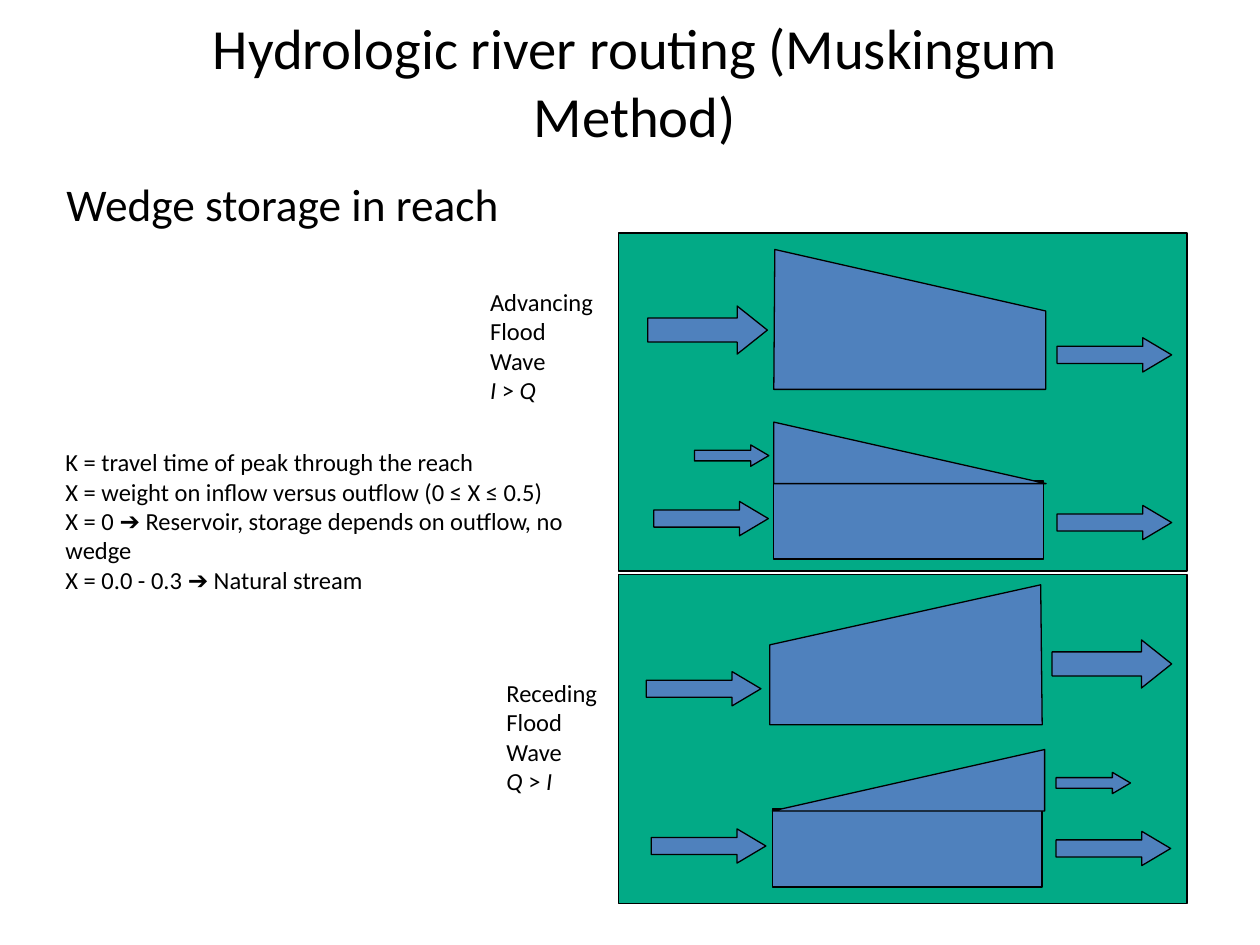
import pptx
import pptx.dml.color
import pptx.enum.shapes
import pptx.enum.text
import pptx.util
from dataclasses import dataclass

Cm = pptx.util.Cm
Pt = pptx.util.Pt
RGB = pptx.dml.color.RGBColor
Preset = pptx.enum.shapes.MSO_SHAPE
Align = pptx.enum.text.PP_ALIGN
Anchor = pptx.enum.text.MSO_ANCHOR


@dataclass(frozen=True)
class Theme:
    font: str = "Calibri"
    ink: RGB = RGB(0x00, 0x00, 0x00)
    land: RGB = RGB(0x02, 0xAA, 0x86)
    water: RGB = RGB(0x4F, 0x81, 0xBD)
    outline: float = 0.75
    title: float = 32.4
    heading: float = 25.9
    body: float = 14


ARROWS = {
    "large": (2.41, 0.97, 0.627),
    "medium": (2.31, 0.69, 0.842),
    "small": (1.5, 0.43, 0.848),
}

ADVANCING = {
    "panel": (12.47, 4.7, 11.46, 6.81),
    "profile": [(15.62, 5.03), (15.6, 7.85), (21.08, 7.85), (21.08, 6.27)],
    "prism": (15.6, 9.7, 5.44, 1.57),
    "wedge": (15.6, 8.51, 5.49, 1.24),
    "falling": True,
    "flows": [("large", 13.06, 6.17), ("medium", 21.31, 6.81),
              ("medium", 21.31, 10.19), ("small", 14, 8.97),
              ("medium", 13.18, 10.11)],
    "label": (9.63, 5.66, 2.77, 2.62),
    "wave": "Advancing",
    "relation": ("I", "Q"),
}

RECEDING = {
    "panel": (12.47, 11.58, 11.46, 6.63),
    "profile": [(20.98, 11.79), (21.01, 14.61), (15.52, 14.61), (15.52, 13)],
    "prism": (15.57, 16.31, 5.44, 1.57),
    "wedge": (15.57, 15.11, 5.49, 1.24),
    "falling": False,
    "flows": [("medium", 21.29, 16.76), ("small", 21.29, 15.57),
              ("medium", 13.13, 16.71), ("large", 21.21, 12.9),
              ("medium", 13.03, 13.54)],
    "label": (9.96, 13.54, 2.51, 2.62),
    "wave": "Receding",
    "relation": ("Q", "I"),
}


class RoutingSlide:
    def __init__(self, slide, theme):
        self.slide = slide
        self.theme = theme

    def paint(self, shape, color):
        shape.shadow.inherit = False
        shape.fill.solid()
        shape.fill.fore_color.rgb = color
        shape.line.color.rgb = self.theme.ink
        shape.line.width = Pt(self.theme.outline)
        return shape

    def preset(self, group, kind, box, color):
        shape = group.shapes.add_shape(kind, *map(Cm, box))
        return self.paint(shape, color)

    def arrow(self, group, size, left, top):
        width, height, head = ARROWS[size]
        flow = self.preset(group, Preset.RIGHT_ARROW,
                           (left, top, width, height), self.theme.water)
        flow.adjustments[0] = 0.5
        flow.adjustments[1] = head

    def wedge(self, group, box, falling):
        wedge = self.preset(group, Preset.RIGHT_TRIANGLE, box, self.theme.water)
        if not falling:
            wedge.element.spPr.get_or_add_xfrm().set("flipH", "1")

    def polygon(self, group, points):
        start, *rest = [(Cm(x), Cm(y)) for x, y in points]
        outline = group.shapes.build_freeform(*start)
        outline.add_line_segments(rest, close=True)
        self.paint(outline.convert_to_shape(), self.theme.water)

    def text(self, parent, box, lines, size, align=Align.LEFT, anchor=Anchor.TOP):
        frame = parent.shapes.add_textbox(*map(Cm, box)).text_frame
        frame.word_wrap = True
        frame.vertical_anchor = anchor
        for index, line in enumerate(lines):
            paragraph = frame.paragraphs[0] if index == 0 else frame.add_paragraph()
            paragraph.text = line
            paragraph.alignment = align
            paragraph.font.name = self.theme.font
            paragraph.font.size = Pt(size)
            paragraph.font.color.rgb = self.theme.ink
        return frame

    def wave_label(self, group, box, wave, relation):
        frame = self.text(group, box, [wave, "Flood", "Wave", ""], self.theme.body)
        larger, smaller = relation
        for words, italic in ((larger, True), (" > ", False), (smaller, True)):
            run = frame.paragraphs[-1].add_run()
            run.text = words
            run.font.italic = italic

    def flood_wave(self, stage):
        group = self.slide.shapes.add_group_shape()
        self.preset(group, Preset.RECTANGLE, stage["panel"], self.theme.land)
        self.polygon(group, stage["profile"])
        self.preset(group, Preset.RECTANGLE, stage["prism"], self.theme.water)
        self.wedge(group, stage["wedge"], stage["falling"])
        for flow in stage["flows"]:
            self.arrow(group, *flow)
        self.wave_label(group, stage["label"], stage["wave"], stage["relation"])


def main():
    deck = pptx.Presentation()
    deck.slide_width = Cm(25.4)
    deck.slide_height = Cm(19.05)
    theme = Theme()
    routing = RoutingSlide(deck.slides.add_slide(deck.slide_layouts[6]), theme)
    routing.text(routing.slide, (2.54, 0.64, 20.52, 1.98),
                 ["Hydrologic river routing (Muskingum Method)"],
                 theme.title, Align.CENTER, Anchor.MIDDLE)
    routing.text(routing.slide, (1.09, 3.42, 9.7, 1.47),
                 ["Wedge storage in reach"], theme.heading)
    for stage in (ADVANCING, RECEDING):
        routing.flood_wave(stage)
    routing.text(routing.slide, (1.07, 8.89, 11.23, 3.2), [
        "K = travel time of peak through the reach",
        "X = weight on inflow versus outflow (0 ≤ X ≤ 0.5)",
        "X = 0 ➔ Reservoir, storage depends on outflow, no wedge",
        "X = 0.0 - 0.3 ➔ Natural stream",
    ], theme.body)
    deck.save("out.pptx")


if __name__ == "__main__":
    main()
